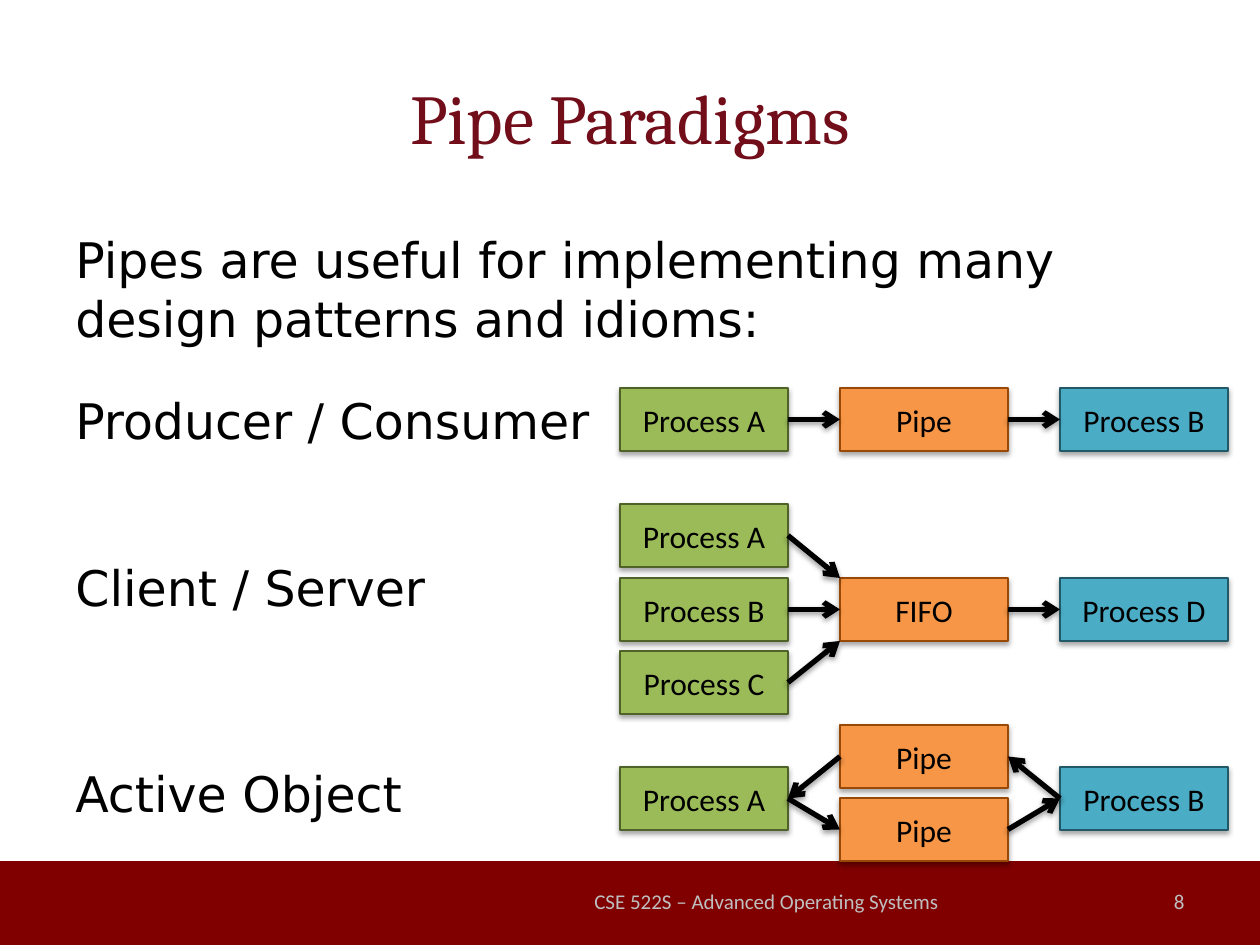
"""Build the slide on pipe paradigms with its three process diagrams."""
import pptx
import pptx.dml.color
import pptx.enum.shapes
import pptx.enum.text
import pptx.oxml
import pptx.oxml.ns
import pptx.util

PX = 914400 / 126
COLORS = {
    "band": "800000", "title": "720D1A", "ink": "000000", "footer": "BFBFBF",
    "source": "9BBB59", "source_edge": "4F6228",
    "channel": "F79646", "channel_edge": "984807",
    "sink": "4BACC6", "sink_edge": "215968",
}
ALIGN = pptx.enum.text.PP_ALIGN
MIDDLE = pptx.enum.text.MSO_ANCHOR.MIDDLE
RECTANGLE = pptx.enum.shapes.MSO_SHAPE.RECTANGLE
STRAIGHT = pptx.enum.shapes.MSO_CONNECTOR.STRAIGHT
LEFT, RIGHT = 1, 3


def px(*lengths):
    return [pptx.util.Emu(round(length * PX)) for length in lengths]


def write(frame, lines, size, font, color, align, gaps=(0,), anchor=MIDDLE):
    frame.word_wrap = True
    frame.vertical_anchor = anchor
    frame.text = "\n".join(lines)
    for paragraph, gap in zip(frame.paragraphs, gaps):
        paragraph.alignment = align
        paragraph.space_before = pptx.util.Pt(gap)
        for attribute, value in {"name": font, "size": pptx.util.Pt(size)}.items():
            setattr(paragraph.font, attribute, value)
        paragraph.font.color.rgb = pptx.dml.color.RGBColor.from_string(COLORS[color])


SHADOW = (
    f'<a:effectLst {pptx.oxml.ns.nsdecls("a")}><a:outerShdw blurRad="40000" dist="%d" '
    'dir="5400000" rotWithShape="0"><a:srgbClr val="000000"><a:alpha val="%d"/>'
    '</a:srgbClr></a:outerShdw></a:effectLst>'
)
ARROWHEAD = f'<a:tailEnd {pptx.oxml.ns.nsdecls("a")} type="arrow"/>'

deck = pptx.Presentation()
deck.slide_width, deck.slide_height = px(1260, 945)
slide = deck.slides.add_slide(deck.slide_layouts[5])
shapes = slide.shapes

band = shapes.add_shape(RECTANGLE, *px(0, 861, 1260, 84))
band.shadow.inherit = False
band.fill.solid()
band.fill.fore_color.rgb = pptx.dml.color.RGBColor.from_string(COLORS["band"])
band.line.fill.background()

title = shapes.title
for side, length in zip(("left", "top", "width", "height"), px(63, 38, 1134, 158)):
    setattr(title, side, length)
write(title.text_frame, ["Pipe Paradigms"], 40, "Cambria", "title", ALIGN.CENTER)

patterns = shapes.add_textbox(*px(63, 223, 1134, 648))
write(
    patterns.text_frame,
    ["Pipes are useful for implementing many design patterns and idioms:",
     "Producer / Consumer", "Client / Server", "Active Object"],
    28, "DejaVu Sans", "ink", ALIGN.LEFT, (0, 25, 62, 84), pptx.enum.text.MSO_ANCHOR.TOP,
)

for place, words, align in [
    ((567, 876, 399, 50), "CSE 522S – Advanced Operating Systems", ALIGN.CENTER),
    ((903, 876, 294, 50), "8", ALIGN.RIGHT),
]:
    footer = shapes.add_textbox(*px(*place))
    write(footer.text_frame, [words], 12, "Calibri", "footer", align)

COLUMNS = {"source": 620, "channel": 840, "sink": 1060}
BOX_WIDTH, BOX_HEIGHT = 168, 63
STAGES = {
    "producer": ("source", 388, "Process A"),
    "pipe": ("channel", 388, "Pipe"),
    "consumer": ("sink", 388, "Process B"),
    "client_a": ("source", 504, "Process A"),
    "client_b": ("source", 578, "Process B"),
    "client_c": ("source", 651, "Process C"),
    "fifo": ("channel", 578, "FIFO"),
    "server": ("sink", 578, "Process D"),
    "caller": ("source", 767, "Process A"),
    "reply_pipe": ("channel", 725, "Pipe"),
    "request_pipe": ("channel", 798, "Pipe"),
    "active_object": ("sink", 767, "Process B"),
}
stages = {}
for stage, (role, top, label) in STAGES.items():
    box = shapes.add_shape(RECTANGLE, *px(COLUMNS[role], top, BOX_WIDTH, BOX_HEIGHT))
    box.fill.solid()
    box.fill.fore_color.rgb = pptx.dml.color.RGBColor.from_string(COLORS[role])
    box.line.color.rgb = pptx.dml.color.RGBColor.from_string(COLORS[role + "_edge"])
    box.line.width = pptx.util.Pt(0.75)
    box._element.spPr.append(pptx.oxml.parse_xml(SHADOW % (23000, 35000)))
    write(box.text_frame, [label], 18, "Calibri", "ink", ALIGN.CENTER)
    stages[stage] = box

fifo = stages["fifo"]
FLOWS = [
    ("producer", RIGHT, "pipe", None),
    ("pipe", RIGHT, "consumer", None),
    ("client_a", RIGHT, "fifo", (fifo.left, fifo.top)),
    ("client_b", RIGHT, "fifo", None),
    ("client_c", RIGHT, "fifo", (fifo.left, fifo.top + fifo.height)),
    ("fifo", RIGHT, "server", None),
    ("caller", RIGHT, "request_pipe", None),
    ("request_pipe", RIGHT, "active_object", None),
    ("active_object", LEFT, "reply_pipe", None),
    ("reply_pipe", LEFT, "caller", None),
]
for sender, exit_side, receiver, corner in FLOWS:
    arrow = shapes.add_connector(STRAIGHT, 0, 0, *(corner or (0, 0)))
    arrow.begin_connect(stages[sender], exit_side)
    if corner is None:
        arrow.end_connect(stages[receiver], LEFT if exit_side == RIGHT else RIGHT)
    arrow.line.color.rgb = pptx.dml.color.RGBColor.from_string(COLORS["ink"])
    arrow.line.width = pptx.util.Pt(3)
    properties = arrow._element.spPr
    properties.get_or_add_ln().append(pptx.oxml.parse_xml(ARROWHEAD))
    properties.append(pptx.oxml.parse_xml(SHADOW % (20000, 38000)))

deck.save("out.pptx")
